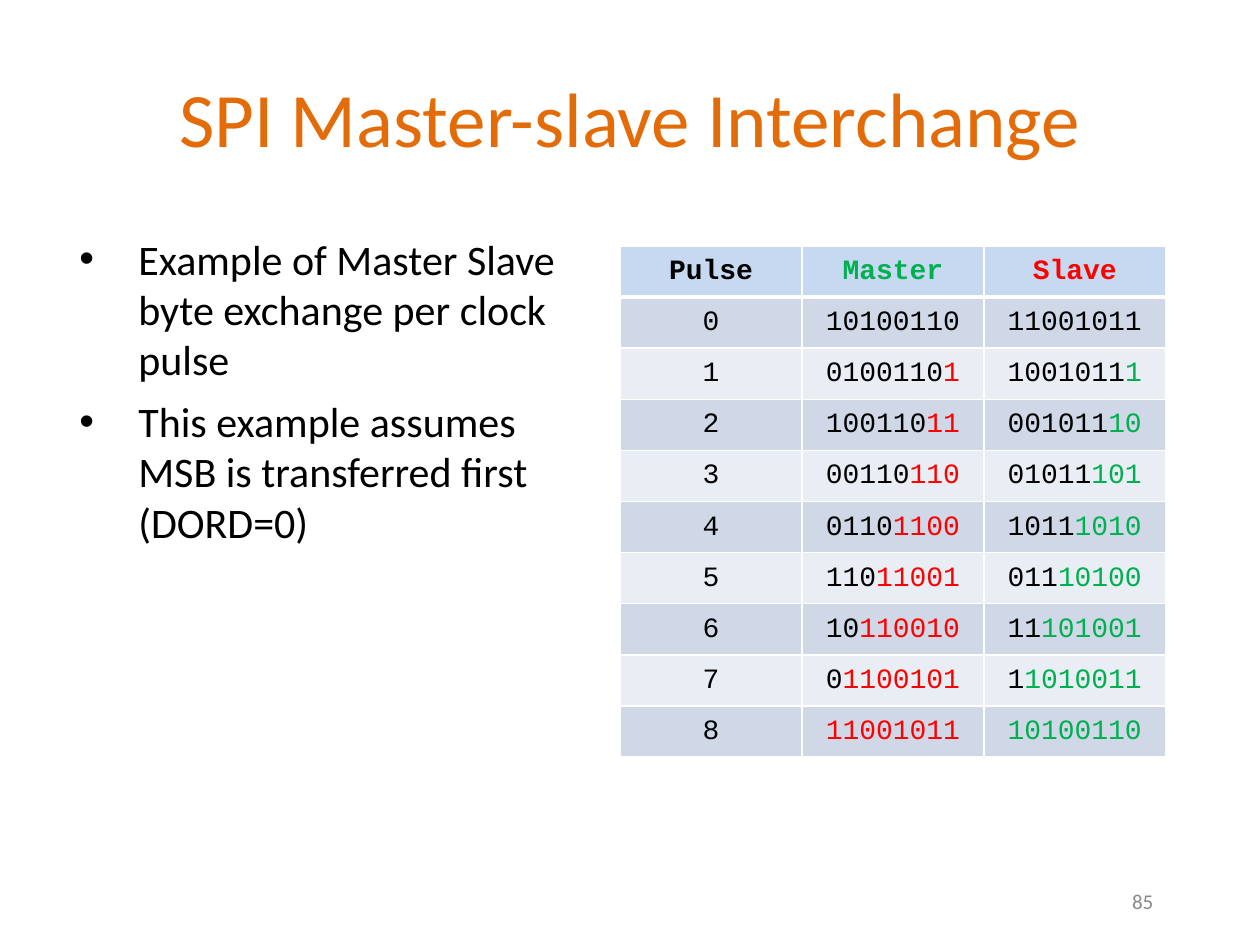
import pptx
import pptx.util
import pptx.dml.color
import pptx.enum.text
import pptx.oxml
import pptx.oxml.ns

Cm = pptx.util.Cm
Pt = pptx.util.Pt
RGB = pptx.dml.color.RGBColor
ALIGN = pptx.enum.text.PP_ALIGN
ANCHOR = pptx.enum.text.MSO_ANCHOR

ORANGE = RGB(0xE3, 0x6C, 0x09)
BLACK = RGB(0x00, 0x00, 0x00)
GRAY = RGB(0x88, 0x88, 0x88)
GREEN = RGB(0x00, 0xB0, 0x50)
RED = RGB(0xFF, 0x00, 0x00)
WHITE = RGB(0xFF, 0xFF, 0xFF)
HEAD = RGB(0xC6, 0xD9, 0xF1)
BANDS = [RGB(0xE9, 0xED, 0xF4), RGB(0xD0, 0xD8, 0xE8)]
NS = pptx.oxml.ns.nsdecls("a")


def add_box(left, top, width, height, inset, anchor):
    frame = slide.shapes.add_textbox(Cm(left), Cm(top), Cm(width), Cm(height)).text_frame
    frame.word_wrap = True
    frame.vertical_anchor = anchor
    frame.margin_left = frame.margin_right = Cm(0.25)
    frame.margin_top = frame.margin_bottom = Cm(inset)
    return frame


def add_run(para, text, size, color, font="Calibri", bold=False):
    run = para.add_run()
    run.text = text
    run.font.name = font
    run.font.size = Pt(size)
    run.font.bold = bold
    run.font.color.rgb = color


deck = pptx.Presentation()
deck.slide_width, deck.slide_height = Cm(25.4), Cm(19.05)
slide = deck.slides.add_slide(deck.slide_layouts[6])

# Title
para = add_box(1.27, 0.76, 22.86, 3.18, 0.25, ANCHOR.MIDDLE).paragraphs[0]
para.alignment = ALIGN.CENTER
add_run(para, "SPI Master-slave Interchange", 44, ORANGE)

# Slide number
para = add_box(17.58, 17.65, 5.92, 1.02, 0.13, ANCHOR.MIDDLE).paragraphs[0]
para.alignment = ALIGN.RIGHT
add_run(para, "85", 12, GRAY)

# Pulse table
M_BYTE, S_BYTE = "10100110", "11001011"
rows = [[[("Pulse", BLACK)], [("Master", GREEN)], [("Slave", RED)]]]
for n in range(9):  # each pulse shifts one bit across
    rows.append([
        [(str(n), BLACK)],
        [(M_BYTE[n:], BLACK), (S_BYTE[:n], RED)],
        [(S_BYTE[n:], BLACK), (M_BYTE[:n], GREEN)],
    ])

grid = slide.shapes.add_table(len(rows), 3, Cm(12.5), Cm(4.96), Cm(11), Cm(10.3)).table
for col in grid.columns:
    col.width = Cm(11 / 3)
for r, row in enumerate(rows):
    grid.rows[r].height = Cm(1.03)
    for c, parts in enumerate(row):
        cell = grid.cell(r, c)
        cell.vertical_anchor = ANCHOR.MIDDLE
        cell.margin_left = cell.margin_right = cell.margin_top = Cm(0.02)
        cell.margin_bottom = 0
        # White borders, thick under the header
        for side in "LRTB":
            thick = (r, side) in [(0, "B"), (1, "T")]
            cell._tc.get_or_add_tcPr().append(pptx.oxml.parse_xml(
                f'<a:ln{side} {NS} w="{Pt(3 if thick else 1)}"><a:solidFill>'
                f'<a:srgbClr val="{WHITE}"/></a:solidFill></a:ln{side}>'))
        cell.fill.solid()
        cell.fill.fore_color.rgb = BANDS[r % 2] if r else HEAD
        para = cell.text_frame.paragraphs[0]
        para.alignment = ALIGN.CENTER
        for text, color in parts:
            if text:
                add_run(para, text, 16, color, "Courier New", r == 0)

# Bullet list
body = add_box(1.27, 4.45, 10.24, 12.57, 0.25, ANCHOR.TOP)
points = [
    "Example of Master Slave byte exchange per clock pulse",
    "This example assumes MSB is transferred first (DORD=0)",
]
for i, text in enumerate(points):
    para = body.add_paragraph() if i else body.paragraphs[0]
    props = para._p.get_or_add_pPr()
    props.set("marL", str(Cm(1.27)))
    props.set("indent", str(Cm(-1.19)))
    for tag in (f'<a:buClr {NS}><a:srgbClr val="{BLACK}"/></a:buClr>',
                f'<a:buFont {NS} typeface="Arial"/>',
                f'<a:buChar {NS} char="•"/>'):
        props.append(pptx.oxml.parse_xml(tag))
    if i:
        para.space_before = Pt(6.4)
    add_run(para, text, 24, BLACK)

deck.save("out.pptx")
